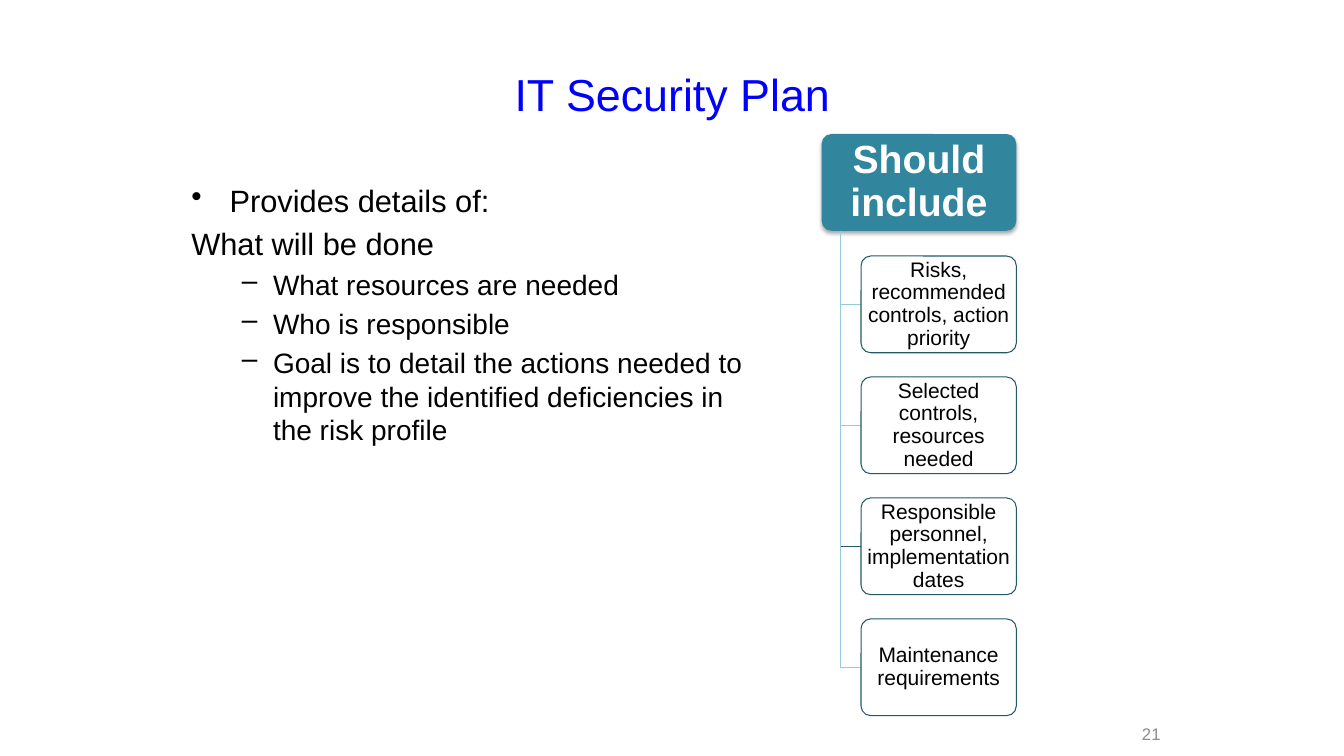
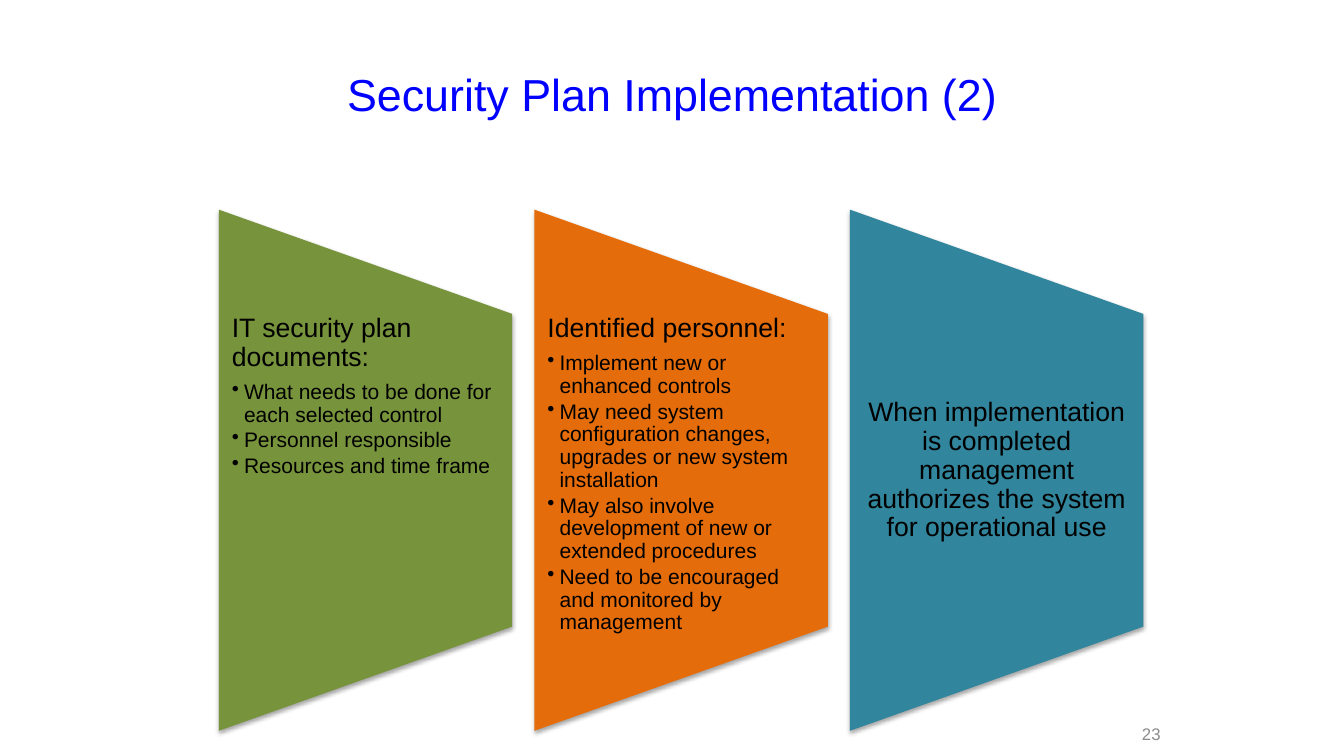
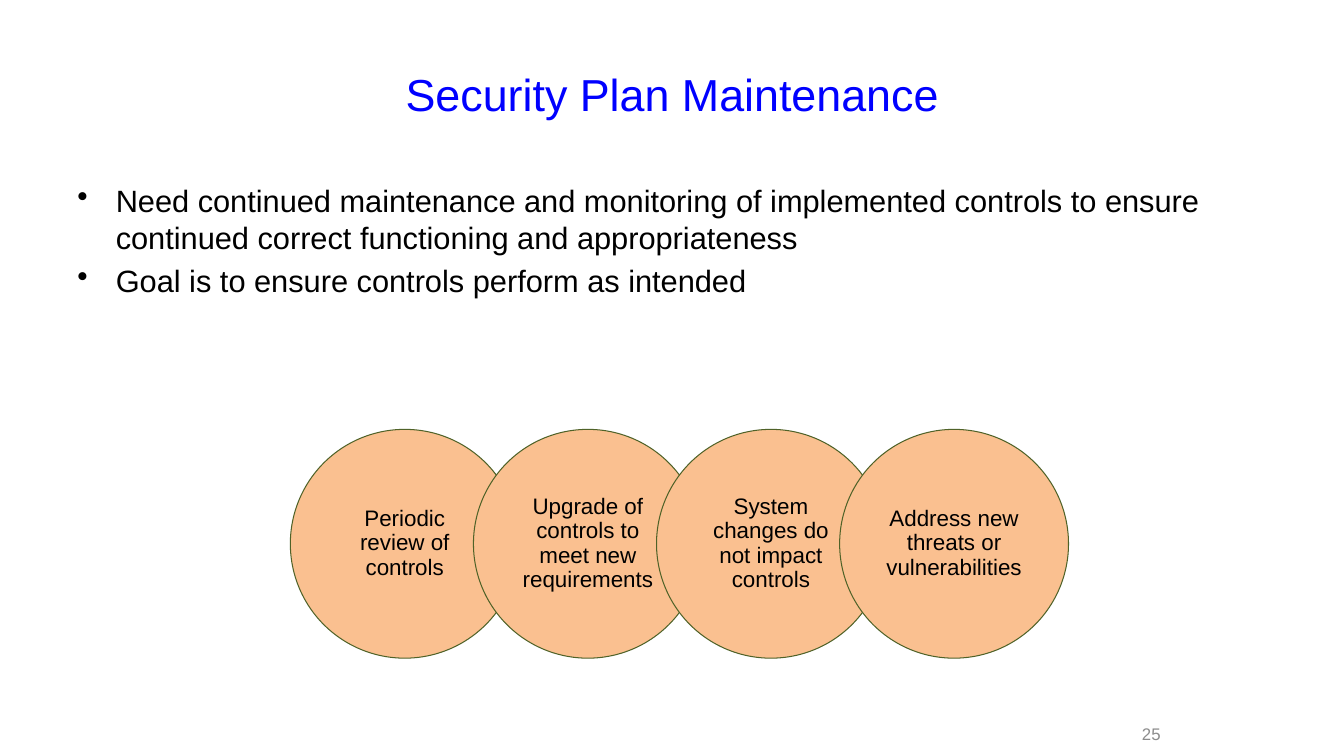
from dataclasses import dataclass
from typing import Any, Optional

from lxml.etree import SubElement
from pptx import Presentation
from pptx.dml.color import RGBColor
from pptx.enum.shapes import MSO_SHAPE
from pptx.enum.text import MSO_ANCHOR, PP_ALIGN
from pptx.oxml.ns import qn
from pptx.util import Inches, Pt

# Shared look
FONT = "Arial"
BLACK, WHITE = "000000", "FFFFFF"
TITLE_BLUE, NUMBER_GRAY = "0000FF", "8C8C8C"
TEAL, DARK_TEAL, LIGHT_TEAL = "31859C", "215968", "93CDDD"
GREEN, ORANGE, PEACH, DARK_GREEN = "77933C", "E46C0A", "FAC090", "4F6228"
LINE_WIDTH = 0.75


@dataclass(frozen=True)
class Style:
    size: float
    color: str = BLACK
    bold: bool = False
    align: PP_ALIGN = PP_ALIGN.LEFT
    line_spacing: float = 1.0
    before: float = 0  # share of the text size
    after: float = 0
    level: int = 0
    margin: float = 0
    hanging: float = 0
    bullet: str = ""


@dataclass(frozen=True)
class Line:
    text: str
    style: Style


@dataclass(frozen=True)
class Frame:
    left: float
    top: float
    width: float
    height: float

    def lengths(self) -> tuple:
        return tuple(Inches(v) for v in (self.left, self.top, self.width, self.height))


@dataclass(frozen=True)
class Panel:
    color: str
    lines: list[Line]
    anchor: MSO_ANCHOR = MSO_ANCHOR.TOP


# Text styles
CENTER = PP_ALIGN.CENTER
TITLE = Style(32, TITLE_BLUE, align=CENTER)
NUMBER = Style(12, NUMBER_GRAY, align=PP_ALIGN.RIGHT)
PLAIN = Style(22, before=0.2)
BULLET = Style(22, before=0.2, margin=0.38, hanging=0.38, bullet="•")
DASH = Style(20, before=0.2, level=1, margin=0.81, hanging=0.31, bullet="–")
ROOT = Style(28, WHITE, True, CENTER, 0.9, after=0.35)
BRANCH = Style(15, align=CENTER, line_spacing=0.9, after=0.35)
PANEL_HEAD = Style(19, line_spacing=0.9, after=0.35)
PANEL_ITEM = Style(15, line_spacing=0.9, after=0.15, level=1,
                   margin=0.12, hanging=0.12, bullet="•")
PANEL_NOTE = Style(19, align=CENTER, line_spacing=0.9, after=0.35)
CIRCLE = Style(16, align=CENTER, line_spacing=0.9, after=0.35)


def rgb(color: str) -> RGBColor:
    return RGBColor.from_string(color)


def apply(target: Any, values: dict[str, Any]) -> None:
    for name, value in values.items():
        setattr(target, name, value)


# Text
def write(shape: Any, lines: list[Line], anchor: MSO_ANCHOR = MSO_ANCHOR.MIDDLE,
          inset: tuple[float, float] = (0.1, 0.05)) -> None:
    across, down = (Inches(v) for v in inset)
    apply(shape.text_frame, {
        "word_wrap": True, "vertical_anchor": anchor,
        "margin_left": across, "margin_right": across,
        "margin_top": down, "margin_bottom": down,
    })
    for index, line in enumerate(lines):
        frame, style = shape.text_frame, line.style
        para = frame.add_paragraph() if index else frame.paragraphs[0]
        apply(para, {
            "alignment": style.align, "line_spacing": style.line_spacing,
            "level": style.level,
            "space_before": Pt(style.size * style.before),
            "space_after": Pt(style.size * style.after),
        })
        if style.bullet:
            properties = para._p.get_or_add_pPr()
            properties.set("marL", str(Inches(style.margin)))
            properties.set("indent", str(-Inches(style.hanging)))
            SubElement(properties, qn("a:buChar"), char=style.bullet)
        span = para.add_run()
        span.text = line.text
        apply(span.font, {"name": FONT, "size": Pt(style.size), "bold": style.bold})
        span.font.color.rgb = rgb(style.color)


def add_text(page: Any, frame: Frame, lines: list[Line],
             anchor: MSO_ANCHOR = MSO_ANCHOR.MIDDLE,
             inset: tuple[float, float] = (0.1, 0.05)) -> None:
    write(page.shapes.add_textbox(*frame.lengths()), lines, anchor, inset)


# Shapes
def paint(shape: Any, fill: Optional[str], line: Optional[str]) -> None:
    shape.shadow.inherit = False
    if fill:
        shape.fill.solid()
        shape.fill.fore_color.rgb = rgb(fill)
    else:
        shape.fill.background()
    if line:
        shape.line.color.rgb = rgb(line)
        shape.line.width = Pt(LINE_WIDTH)
    else:
        shape.line.fill.background()


def add_shape(page: Any, kind: MSO_SHAPE, frame: Frame, fill: str,
              line: Optional[str] = None) -> Any:
    shape = page.shapes.add_shape(kind, *frame.lengths())
    paint(shape, fill, line)
    return shape


def add_shadow(shape: Any) -> None:
    effects = shape._element.spPr.find(qn("a:effectLst"))
    shadow = SubElement(effects, qn("a:outerShdw"), blurRad=str(Pt(3.1)),
                        dist=str(Pt(1.8)), dir="5400000", rotWithShape="0")
    color = SubElement(shadow, qn("a:srgbClr"), val=BLACK)
    SubElement(color, qn("a:alpha"), val="35000")


def add_page(deck: Any, title: str, number: int) -> Any:
    page = deck.slides.add_slide(deck.slide_layouts[6])
    add_text(page, Frame(0.67, 0.3, 12, 1.25), [Line(title, TITLE)])
    add_text(page, Frame(10.93, 7.2, 0.68, 0.15), [Line(str(number), NUMBER)])
    return page


# Slide: plan contents and tree
def add_tree(page: Any, heading: str, branches: list[tuple[str, str]]) -> None:
    height, pitch = 0.96, 1.2
    root_frame = Frame(8.15, 1.33, 1.93, height)
    trunk_x, trunk_y = 8.34, root_frame.top + height
    root = add_shape(page, MSO_SHAPE.ROUNDED_RECTANGLE, root_frame, TEAL)
    root.adjustments[0] = 0.1
    add_shadow(root)
    write(root, [Line(heading, ROOT)], inset=(0.06, 0.04))
    for index, (text, link_color) in enumerate(branches):
        frame = Frame(8.54, 2.54 + index * pitch, 1.54, height)
        middle = Inches(frame.top + height / 2)
        path = page.shapes.build_freeform(Inches(trunk_x), Inches(trunk_y))
        path.add_line_segments([(Inches(trunk_x), middle),
                                (Inches(frame.left), middle)], close=False)
        paint(path.convert_to_shape(), None, link_color)
        branch = add_shape(page, MSO_SHAPE.ROUNDED_RECTANGLE, frame, WHITE, DARK_TEAL)
        branch.adjustments[0] = 0.1
        write(branch, [Line(text, BRANCH)], inset=(0.03, 0.02))


def build_plan(deck: Any) -> None:
    page = add_page(deck, "IT Security Plan", 21)
    add_text(page, Frame(1.8, 1.75, 5.7, 4.95), [
        Line("Provides details of:", BULLET),
        Line("What will be done", PLAIN),
        Line("What resources are needed", DASH),
        Line("Who is responsible", DASH),
        Line("Goal is to detail the actions needed to improve the "
             "identified deficiencies in the risk profile", DASH),
    ], MSO_ANCHOR.TOP)
    add_tree(page, "Should include", [
        ("Risks, recommended controls, action priority", LIGHT_TEAL),
        ("Selected controls, resources needed", LIGHT_TEAL),
        ("Responsible personnel, implementation dates", DARK_TEAL),
        ("Maintenance requirements", LIGHT_TEAL),
    ])


# Slide: implementation panels
def build_implementation(deck: Any) -> None:
    page = add_page(deck, "Security Plan Implementation (2)", 23)
    panels = [
        Panel(GREEN, [
            Line("IT security plan documents:", PANEL_HEAD),
            Line("What needs to be done for each selected control", PANEL_ITEM),
            Line("Personnel responsible", PANEL_ITEM),
            Line("Resources and time frame", PANEL_ITEM),
        ]),
        Panel(ORANGE, [
            Line("Identified personnel:", PANEL_HEAD),
            Line("Implement new or enhanced controls", PANEL_ITEM),
            Line("May need system configuration changes, upgrades or "
                 "new system installation", PANEL_ITEM),
            Line("May also involve development of new or extended "
                 "procedures", PANEL_ITEM),
            Line("Need to be encouraged and monitored by management", PANEL_ITEM),
        ]),
        Panel(TEAL, [
            Line("When implementation is completed management authorizes "
                 "the system for operational use", PANEL_NOTE),
        ], MSO_ANCHOR.MIDDLE),
    ]
    width, length, pitch = 2.91, 5.17, 3.13
    for index, panel in enumerate(panels):
        left = 2.17 + index * pitch
        # The shape lies on its side, so its frame is wider than the panel
        frame = Frame(left - (length - width) / 2, 3.21, length, width)
        shape = add_shape(page, MSO_SHAPE.FLOWCHART_MANUAL_OPERATION, frame, panel.color)
        shape.rotation = 270
        add_shadow(shape)
        add_text(page, Frame(left, 3.12, width, 3.1), panel.lines,
                 panel.anchor, (0.13, 0))


# Slide: maintenance circles
def build_maintenance(deck: Any) -> None:
    page = add_page(deck, "Security Plan Maintenance", 25)
    add_text(page, Frame(0.67, 1.75, 12, 4.95), [
        Line("Need continued maintenance and monitoring of implemented controls "
             "to ensure continued correct functioning and appropriateness", BULLET),
        Line("Goal is to ensure controls perform as intended", BULLET),
    ], MSO_ANCHOR.TOP)
    tasks = [
        "Periodic review of controls",
        "Upgrade of controls to meet new requirements",
        "System changes do not impact controls",
        "Address new threats or vulnerabilities",
    ]
    diameter = 2.27
    for index, task in enumerate(tasks):
        frame = Frame(2.88 + index * diameter * 0.8, 4.26, diameter, diameter)
        circle = add_shape(page, MSO_SHAPE.OVAL, frame, PEACH, DARK_GREEN)
        write(circle, [Line(task, CIRCLE)], inset=(0.12, 0.02))


def main() -> None:
    deck = Presentation()
    apply(deck, {"slide_width": Inches(13.33), "slide_height": Inches(7.5)})
    for build in (build_plan, build_implementation, build_maintenance):
        build(deck)
    deck.save("out.pptx")


if __name__ == "__main__":
    main()
